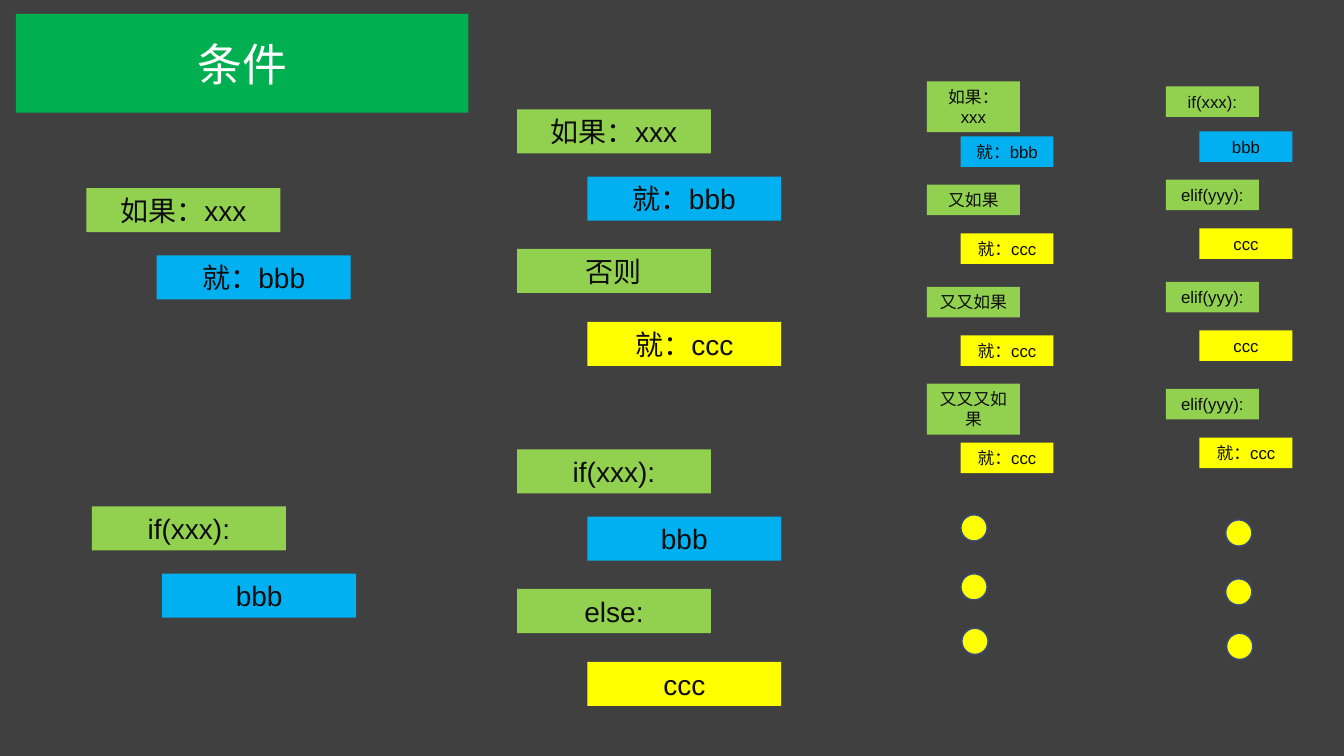
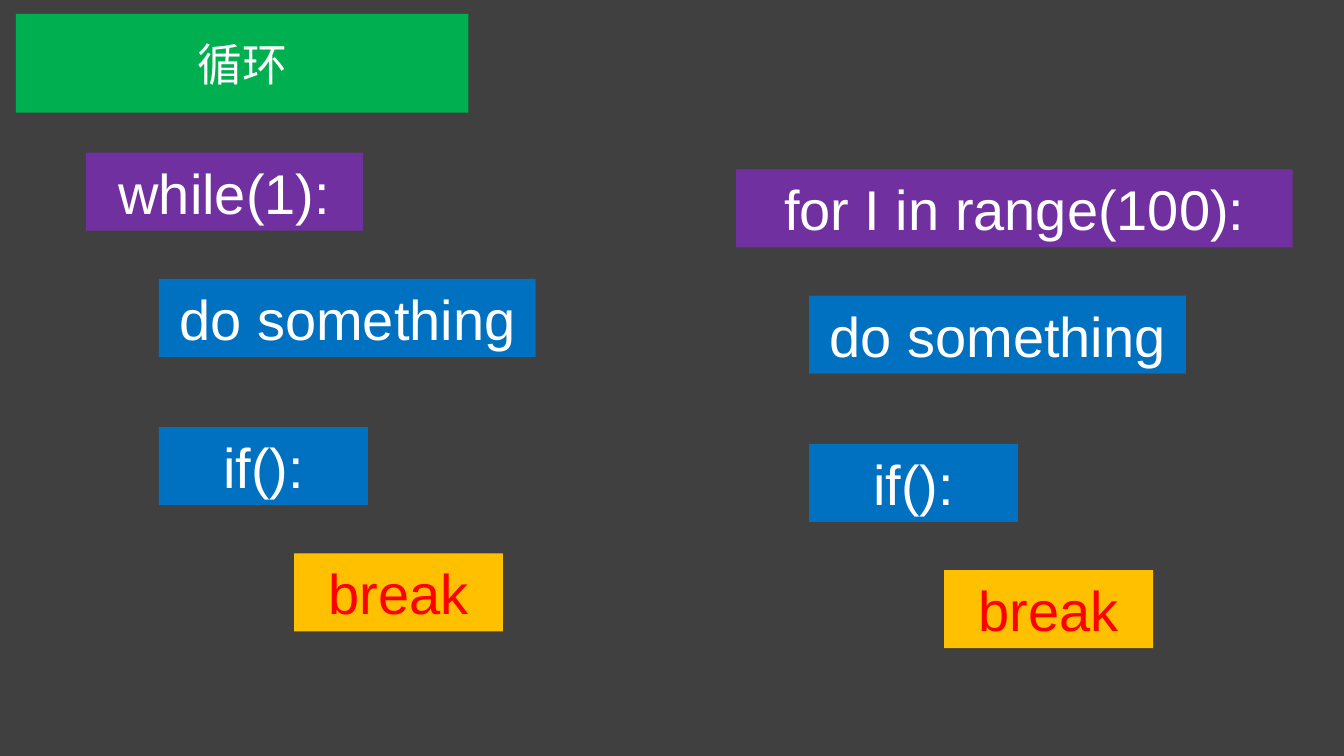
from dataclasses import dataclass

import pptx
import pptx.dml.color
import pptx.enum.shapes
import pptx.enum.text
import pptx.util


@dataclass(frozen=True)
class Theme:
    background: str = "404040"
    title_fill: str = "00B050"
    light: str = "FFFFFF"
    dark: str = "0D0D0D"
    condition: str = "92D050"
    first_action: str = "00B0F0"
    other_action: str = "FFFF00"
    loop: str = "7030A0"
    loop_step: str = "0070C0"
    exit_fill: str = "FFC000"
    exit_text: str = "FF0000"
    dot_line: str = "374B7F"
    title_font: str = "Calibri"
    body_font: str = "Arial"
    title_size: int = 32
    small_size: int = 12
    medium_size: int = 20
    large_size: int = 40


@dataclass(frozen=True)
class Block:
    """Block measures as percentages of the slide's width and height."""
    width: float
    height: float
    indent: float
    offsets: tuple
    font_size: int
    tall: float = 0


THEME = Theme()
WIDTH, HEIGHT = pptx.util.Inches(13.333), pptx.util.Inches(7.5)

# Offsets run from the centre of the first block to the centre of each block
MEDIUM = Block(14.43, 5.83, 5.23, (0, 8.9, 18.47, 28.12), THEME.medium_size)
SMALL = Block(6.92, 4.04, 2.5,
              (0, 5.93, 12.33, 18.78, 25.85, 32.27, 40, 46.45),
              THEME.small_size, tall=6.73)
LARGE = Block(15.55, 10.32, 5.45, (0, 16.7, 36.3, 53), THEME.large_size)
DOT_OFFSETS = ((0, 0), (0, 7.8), (0.07, 15))


def across(share):
    return round(WIDTH * share / 100)


def down(share):
    return round(HEIGHT * share / 100)


def color(value):
    return pptx.dml.color.RGBColor.from_string(value)


def add_slide(presentation, title):
    slide = presentation.slides.add_slide(presentation.slide_layouts[6])
    slide.background.fill.solid()
    slide.background.fill.fore_color.rgb = color(THEME.background)
    add_box(slide, title, (1.19, 1.85, 33.67, 13.05), THEME.title_fill,
            THEME.light, THEME.title_size, THEME.title_font)
    return slide


def add_filled(slide, kind, left, top, width, height, fill):
    shape = slide.shapes.add_shape(kind, left, top, width, height)
    shape.shadow.inherit = False
    shape.fill.solid()
    shape.fill.fore_color.rgb = color(fill)
    return shape


def add_box(slide, text, area, fill, text_color, size, font=THEME.body_font):
    left, top, width, height = area
    shape = add_filled(slide, pptx.enum.shapes.MSO_SHAPE.RECTANGLE,
                       across(left), down(top), across(width), down(height),
                       fill)
    shape.line.fill.background()
    frame = shape.text_frame
    frame.word_wrap = True
    frame.vertical_anchor = pptx.enum.text.MSO_ANCHOR.MIDDLE
    frame.text = text
    paragraph = frame.paragraphs[0]
    paragraph.alignment = pptx.enum.text.PP_ALIGN.CENTER
    run_font = paragraph.runs[0].font
    run_font.name = font
    run_font.size = pptx.util.Pt(size)
    run_font.color.rgb = color(text_color)


def add_branches(slide, left, center, block, texts, tall_rows=()):
    """Stack conditions with their indented actions."""
    for row, (text, offset) in enumerate(zip(texts, block.offsets)):
        is_action = row % 2
        if not is_action:
            fill = THEME.condition
        else:
            fill = THEME.first_action if row == 1 else THEME.other_action
        height = block.tall if row in tall_rows else block.height
        area = (left + is_action * block.indent, center + offset - height / 2,
                block.width, height)
        add_box(slide, text, area, fill, THEME.dark, block.font_size)


def add_loop(slide, left, center, heading, heading_width):
    """Stack a loop heading, its steps and the exit."""
    steps = (
        (heading, 0, heading_width, THEME.loop, THEME.light),
        ("do something", LARGE.indent, 28.03, THEME.loop_step, THEME.light),
        ("if():", LARGE.indent, LARGE.width, THEME.loop_step, THEME.light),
        ("break", 15.5, LARGE.width, THEME.exit_fill, THEME.exit_text),
    )
    for (text, indent, width, fill, text_color), offset in zip(
            steps, LARGE.offsets):
        area = (left + indent, center + offset - LARGE.height / 2,
                width, LARGE.height)
        add_box(slide, text, area, fill, text_color, LARGE.font_size)


def add_dots(slide, left, top):
    diameter = across(1.95)
    for shift, offset in DOT_OFFSETS:
        dot = add_filled(slide, pptx.enum.shapes.MSO_SHAPE.OVAL,
                         across(left + shift), down(top + offset),
                         diameter, diameter, THEME.other_action)
        dot.line.color.rgb = color(THEME.dot_line)
        dot.line.width = pptx.util.Pt(1)


def build_conditions(presentation):
    slide = add_slide(presentation, "条件")
    # One branch, in words and in code
    add_branches(slide, 6.43, 27.8, MEDIUM, ("如果：xxx", "就：bbb"))
    add_branches(slide, 6.84, 69.9, MEDIUM, ("if(xxx):", "bbb"))
    # Two branches
    add_branches(slide, 38.47, 17.37, MEDIUM,
                 ("如果：xxx", "就：bbb", "否则", "就：ccc"))
    add_branches(slide, 38.47, 62.35, MEDIUM,
                 ("if(xxx):", "bbb", "else:", "ccc"))
    # Many branches, carried on by dots
    add_branches(slide, 68.97, 14.12, SMALL,
                 ("如果：xxx", "就：bbb", "又如果", "就：ccc",
                  "又又如果", "就：ccc", "又又又如果", "就：ccc"),
                 tall_rows=(0, 6))
    add_branches(slide, 86.75, 13.46, SMALL,
                 ("if(xxx):", "bbb", "elif(yyy):", "ccc",
                  "elif(yyy):", "ccc", "elif(yyy):", "就：ccc"))
    add_dots(slide, 71.5, 68.1)
    add_dots(slide, 91.2, 68.77)


def build_loops(presentation):
    slide = add_slide(presentation, "循环")
    add_loop(slide, 6.38, 25.37, "while(1):", 20.62)
    add_loop(slide, 54.75, 27.58, "for I in range(100):", 41.43)


def main():
    presentation = pptx.Presentation()
    presentation.slide_width = WIDTH
    presentation.slide_height = HEIGHT
    build_conditions(presentation)
    build_loops(presentation)
    presentation.save("out.pptx")


if __name__ == "__main__":
    main()
